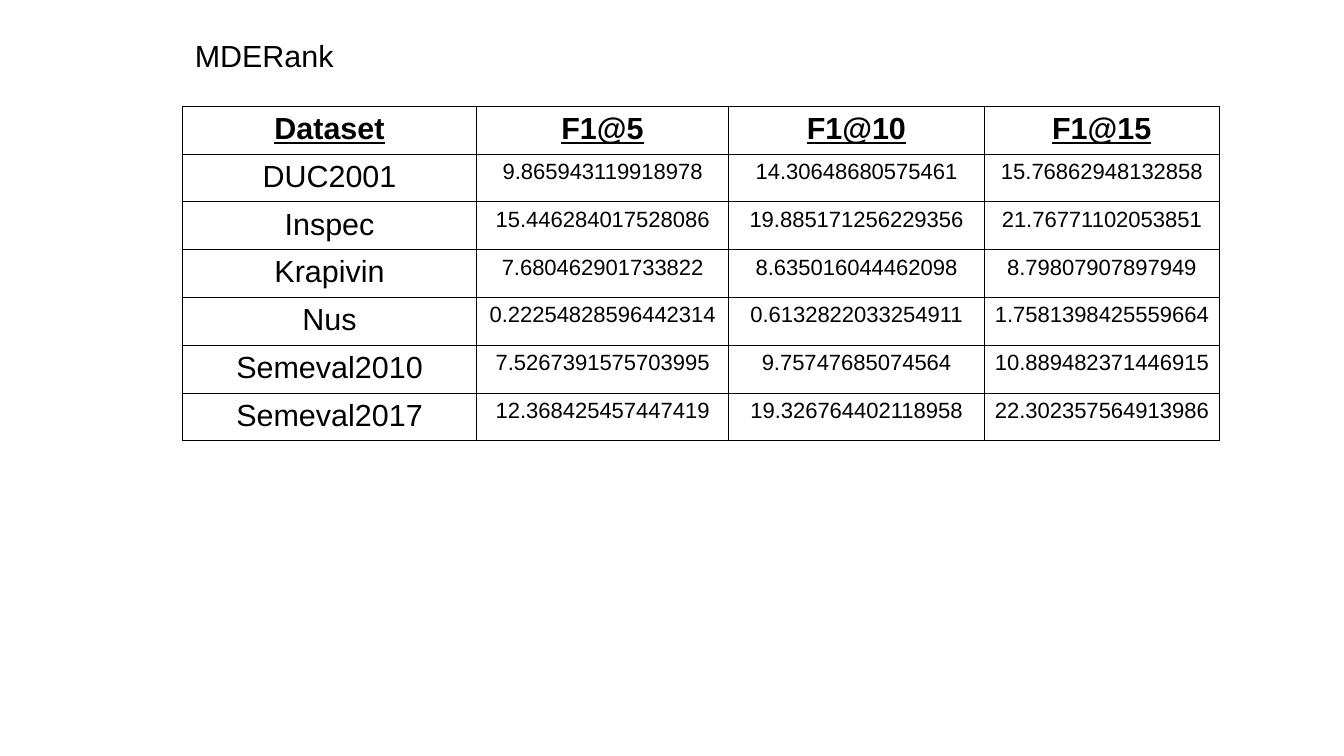
from lxml.etree import SubElement, Element
from pptx import Presentation
from pptx.dml.color import RGBColor
from pptx.enum.text import MSO_ANCHOR as Anchor, MSO_AUTO_SIZE as AutoSize, PP_ALIGN as Align
from pptx.oxml.ns import qn
from pptx.util import Pt

BLACK = RGBColor(0, 0, 0)
WHITE = RGBColor(255, 255, 255)
BORDER_WIDTH = Pt(0.57)

BASE_FONT = {"name": "Arial", "size": Pt(18), "bold": False, "underline": False}
HEADER_FONT = BASE_FONT | {"bold": True, "underline": True}
SCORE_FONT = BASE_FONT | {"size": Pt(13)}
CELL_FORMAT = {"margin_left": Pt(2.8), "margin_right": Pt(2.8), "margin_top": Pt(3.3),
               "margin_bottom": Pt(3.3), "vertical_anchor": Anchor.TOP}
TITLE_FORMAT = {"margin_left": Pt(7.2), "margin_right": Pt(7.2), "margin_top": Pt(3.6),
                "margin_bottom": Pt(3.6), "vertical_anchor": Anchor.TOP,
                "word_wrap": False, "auto_size": AutoSize.SHAPE_TO_FIT_TEXT}

COLUMN_WIDTHS = [173.5, 148.8, 151, 138.7]
SCORES = [
    ("Dataset", "F1@5", "F1@10", "F1@15"),
    ("DUC2001", "9.865943119918978", "14.30648680575461", "15.76862948132858"),
    ("Inspec", "15.446284017528086", "19.885171256229356", "21.76771102053851"),
    ("Krapivin", "7.680462901733822", "8.635016044462098", "8.79807907897949"),
    ("Nus", "0.22254828596442314", "0.6132822033254911", "1.7581398425559664"),
    ("Semeval2010", "7.5267391575703995", "9.75747685074564", "10.889482371446915"),
    ("Semeval2017", "12.368425457447419", "19.326764402118958", "22.302357564913986"),
]


def apply_format(target, values):
    for name, value in values.items():
        setattr(target, name, value)


def write_text(para, text, font_format, align):
    para.text = text
    para.alignment = align
    apply_format(para.runs[0].font, font_format)
    para.runs[0].font.color.rgb = BLACK


def add_borders(cell):
    """Draw a thin black line on all four sides of a cell."""
    properties = cell._tc.get_or_add_tcPr()
    for index, side in enumerate(("a:lnL", "a:lnR", "a:lnT", "a:lnB")):
        line = Element(qn(side), w=str(int(BORDER_WIDTH)))
        fill = SubElement(line, qn("a:solidFill"))
        SubElement(fill, qn("a:srgbClr"), val=str(BLACK))
        properties.insert(index, line)


def add_title(page, left, top, width, height):
    title = page.shapes.title
    apply_format(title, {"left": Pt(left), "top": Pt(top),
                         "width": Pt(width), "height": Pt(height)})
    apply_format(title.text_frame, TITLE_FORMAT)
    para = title.text_frame.paragraphs[0]
    write_text(para, "MDERank", BASE_FONT, Align.LEFT)
    apply_format(para, {"line_spacing": 1.0, "space_before": Pt(0)})


def add_score_table(page, left, top, width, height):
    frame = page.shapes.add_table(len(SCORES), len(COLUMN_WIDTHS),
                                  Pt(left), Pt(top), Pt(width), Pt(height))
    table = frame.table
    for column, share in zip(table.columns, COLUMN_WIDTHS):
        column.width = Pt(width * share / sum(COLUMN_WIDTHS))
    for row_index, (row, texts) in enumerate(zip(table.rows, SCORES)):
        row.height = Pt(height / len(SCORES))
        for column_index, (cell, text) in enumerate(zip(row.cells, texts)):
            if row_index == 0:
                font_format = HEADER_FONT
            else:
                font_format = SCORE_FONT if column_index else BASE_FONT
            apply_format(cell, CELL_FORMAT)
            cell.fill.background()
            add_borders(cell)
            write_text(cell.text_frame.paragraphs[0], text, font_format, Align.CENTER)


def build_results_page(deck):
    page = deck.slides.add_slide(deck.slide_layouts[5])
    page.background.fill.solid()
    page.background.fill.fore_color.rgb = WHITE
    # Method name, then its scores on the same left edge
    left = 107.8
    add_title(page, left, 18.2, 96.5, 27.4)
    add_score_table(page, left, 62.8, sum(COLUMN_WIDTHS), 191.8)


def main():
    deck = Presentation()
    deck.slide_width, deck.slide_height = Pt(793.44), Pt(446.4)
    build_results_page(deck)
    deck.save("out.pptx")


if __name__ == "__main__":
    main()
